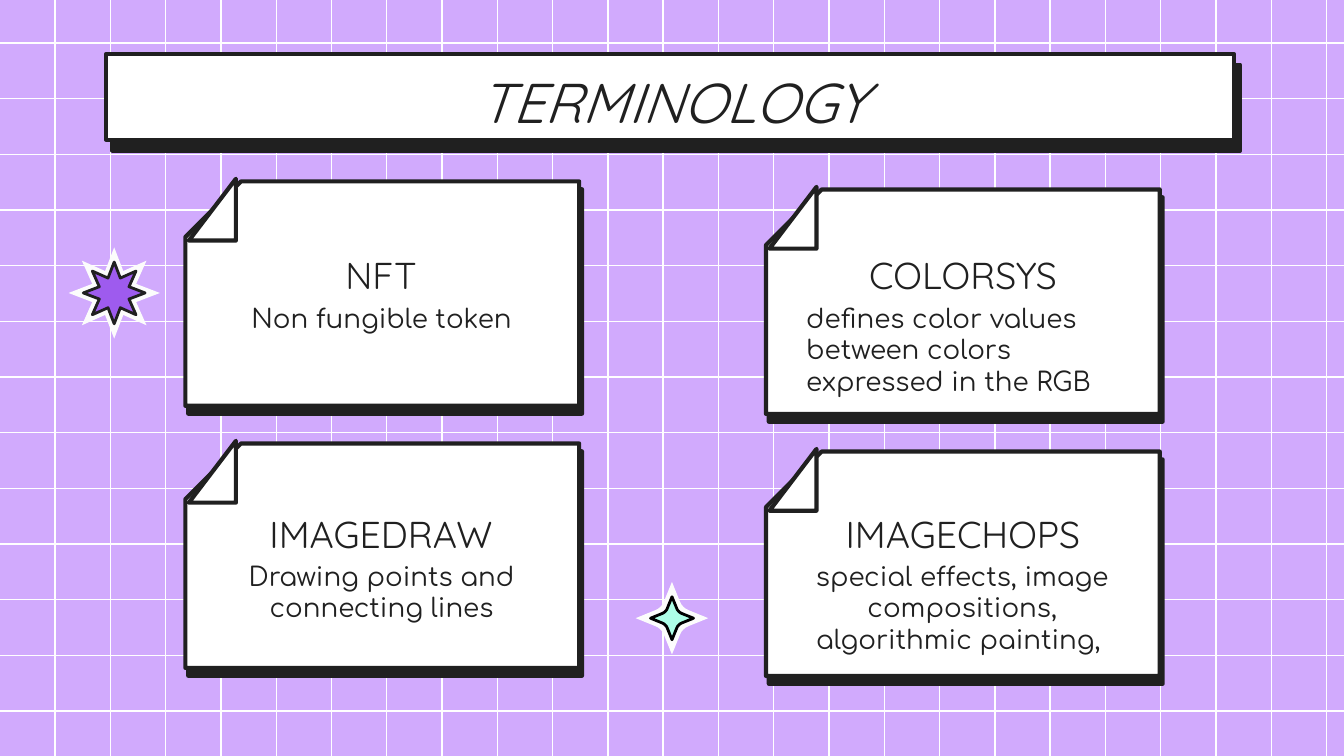
import math

from lxml import etree
from pptx import Presentation
from pptx.dml.color import RGBColor
from pptx.enum import shapes, text
from pptx.oxml.ns import qn
from pptx.util import Inches, Pt

# Content
TITLE = "TERMINOLOGY"
CENTER, LEFT = text.PP_ALIGN.CENTER, text.PP_ALIGN.LEFT
CARDS = [  # column, row, term, meaning, alignment of the meaning
    (0, 0, "NFT", "Non fungible token", CENTER),
    (1, 0, "COLORSYS", "defines color values between colors expressed in the RGB", LEFT),
    (0, 1, "IMAGEDRAW", "Drawing points and connecting lines", CENTER),
    (1, 1, "IMAGECHOPS", "special effects, image compositions, algorithmic painting, ", CENTER),
]

THEME = {
    "background": "D1AAFD", "grid": "FFFFFF", "paper": "FFFFFF", "ink": "202020",
    "glow": "FCFCFC", "violet": "9E5BEE", "mint": "ADFEE7", "black": "000000",
    "heading": ("Quicksand", 30), "term": ("Quicksand", 20), "meaning": ("Comfortaa", 14),
    "grid_line": 0.75, "outline": 2.25, "star_line": 1.5,
}

# Layout, in inches
WIDTH = 10
HEIGHT = WIDTH * 9 / 16
GRID_ROWS = (0.32, 5.29, 13)  # first, last, count
GRID_COLUMNS = (0.41, 9.87, 24)
CARD_LEFTS = (1.38, 5.70)
CARD_TOPS = ((1.35, 3.30), (1.41, 3.36))  # rows of each column
TERM_LEFTS = (1.46, 5.79)
TEXT_TOPS = (1.78, 3.70)
CARD_SIZE = (2.93, 1.67)
FOLD_SIZE = (0.46, 0.35)  # before the quarter turn
FOLD_CENTER = (0.2, 0.21)

deck = Presentation()
deck.slide_width, deck.slide_height = Inches(WIDTH), Inches(HEIGHT)
page = deck.slides.add_slide(deck.slide_layouts[6])
page.background.fill.solid()
page.background.fill.fore_color.rgb = RGBColor.from_string(THEME["background"])


def spread(first, last, count):
    return [first + i * (last - first) / (count - 1) for i in range(count)]


def add_grid_line(x1, y1, x2, y2):
    line = page.shapes.add_connector(
        shapes.MSO_CONNECTOR.STRAIGHT, *map(Inches, (x1, y1, x2, y2)))
    line.line.color.rgb = RGBColor.from_string(THEME["grid"])
    line.line.width = Pt(THEME["grid_line"])
    etree.SubElement(line._element.spPr, qn("a:effectLst"))


def paint(shape, fill, line=None, width=0):
    shape.shadow.inherit = False
    shape.fill.solid()
    shape.fill.fore_color.rgb = RGBColor.from_string(THEME[fill])
    if line:
        shape.line.color.rgb = RGBColor.from_string(THEME[line])
        shape.line.width = Pt(width)
    else:
        shape.line.fill.background()


def add_paper(kind, left, top, width, height):
    shape = page.shapes.add_shape(kind, *map(Inches, (left, top, width, height)))
    paint(shape, "paper", "ink", THEME["outline"])
    return shape


def add_hard_shadow(shape, distance, angle):
    effects = shape._element.spPr.find(qn("a:effectLst"))
    shadow = etree.SubElement(effects, qn("a:outerShdw"), dist=str(Pt(distance)),
                              dir=str(angle * 60000), algn="bl", rotWithShape="0")
    etree.SubElement(shadow, qn("a:srgbClr"), val=THEME["ink"])


def add_text(words, style, left, top, width, height, align=CENTER, italic=False):
    box = page.shapes.add_textbox(*map(Inches, (left, top, width, height)))
    frame = box.text_frame
    frame.word_wrap = True
    frame.vertical_anchor = text.MSO_ANCHOR.TOP
    frame.margin_left = frame.margin_right = Inches(0.1)
    frame.margin_top = frame.margin_bottom = Inches(0.1)
    para = frame.paragraphs[0]
    para.text, para.alignment = words, align
    name, size = THEME[style]
    para.font.name, para.font.size, para.font.italic = name, Pt(size), italic
    para.font.color.rgb = RGBColor.from_string(THEME["ink"])


def add_burst(x, y, radius, *look):
    burst = page.shapes.add_shape(
        shapes.MSO_SHAPE.STAR_8_POINT,
        *map(Inches, (x - radius, y - radius, 2 * radius, 2 * radius)))
    burst.adjustments[0] = 0.26
    paint(burst, *look)


def add_sparkle(x, y, radius, *look):
    """Four-pointed star whose inner corners are rounded by a cubic curve."""
    curve = [(0.22, 0.46), (0.26, 0.35), (0.35, 0.26), (0.46, 0.22)]
    quadrant = [(0, 1)]
    for t in (0, 0.25, 0.5, 0.75, 1):
        weights = [math.comb(3, i) * t**i * (1 - t) ** (3 - i) for i in range(4)]
        quadrant.append(tuple(sum(w * point[axis] for w, point in zip(weights, curve))
                              for axis in (0, 1)))
    points = []
    for _ in range(4):
        points += [(Inches(x + radius * a), Inches(y + radius * b)) for a, b in quadrant]
        quadrant = [(b, -a) for a, b in quadrant]
    builder = page.shapes.build_freeform(*points[0])
    builder.add_line_segments(points[1:], close=True)
    paint(builder.convert_to_shape(), *look)


# Background grid
for y in spread(*GRID_ROWS):
    add_grid_line(0, y, WIDTH, y)
for x in spread(*GRID_COLUMNS):
    add_grid_line(x, 0, x, HEIGHT)

# Cards with a folded corner
for column, row, term, meaning, align in CARDS:
    left, top = CARD_LEFTS[column], CARD_TOPS[column][row]
    card = add_paper(shapes.MSO_SHAPE.SNIP_1_RECTANGLE, left, top, *CARD_SIZE)
    card.adjustments[0] = 0.248
    card._element.spPr.xfrm.set("flipH", "1")
    add_hard_shadow(card, 4.5, 70)
    fold_left, fold_top = (start + center - size / 2 for start, center, size
                           in zip((left, top), FOLD_CENTER, FOLD_SIZE))
    fold = add_paper(shapes.MSO_SHAPE.RIGHT_TRIANGLE, fold_left, fold_top, *FOLD_SIZE)
    fold.rotation = 270
    add_text(term, "term", TERM_LEFTS[column], TEXT_TOPS[row], 2.75, 0.37)
    add_text(meaning, "meaning", left + 0.2, TEXT_TOPS[row] + 0.37, 2.52, 0.53, align)

# Title banner
banner = add_paper(shapes.MSO_SHAPE.RECTANGLE, 0.79, 0.4, 8.39, 0.64)
add_hard_shadow(banner, 6.8, 60)
add_text(TITLE, "heading", 0.79, 0.4, 8.43, 0.63, italic=True)

# Stars
add_burst(0.85, 2.18, 0.34, "glow")
add_burst(0.85, 2.18, 0.23, "violet", "ink", THEME["star_line"])
add_sparkle(5, 4.6, 0.27, "glow")
add_sparkle(5, 4.6, 0.16, "mint", "black", THEME["star_line"])

deck.save("out.pptx")
